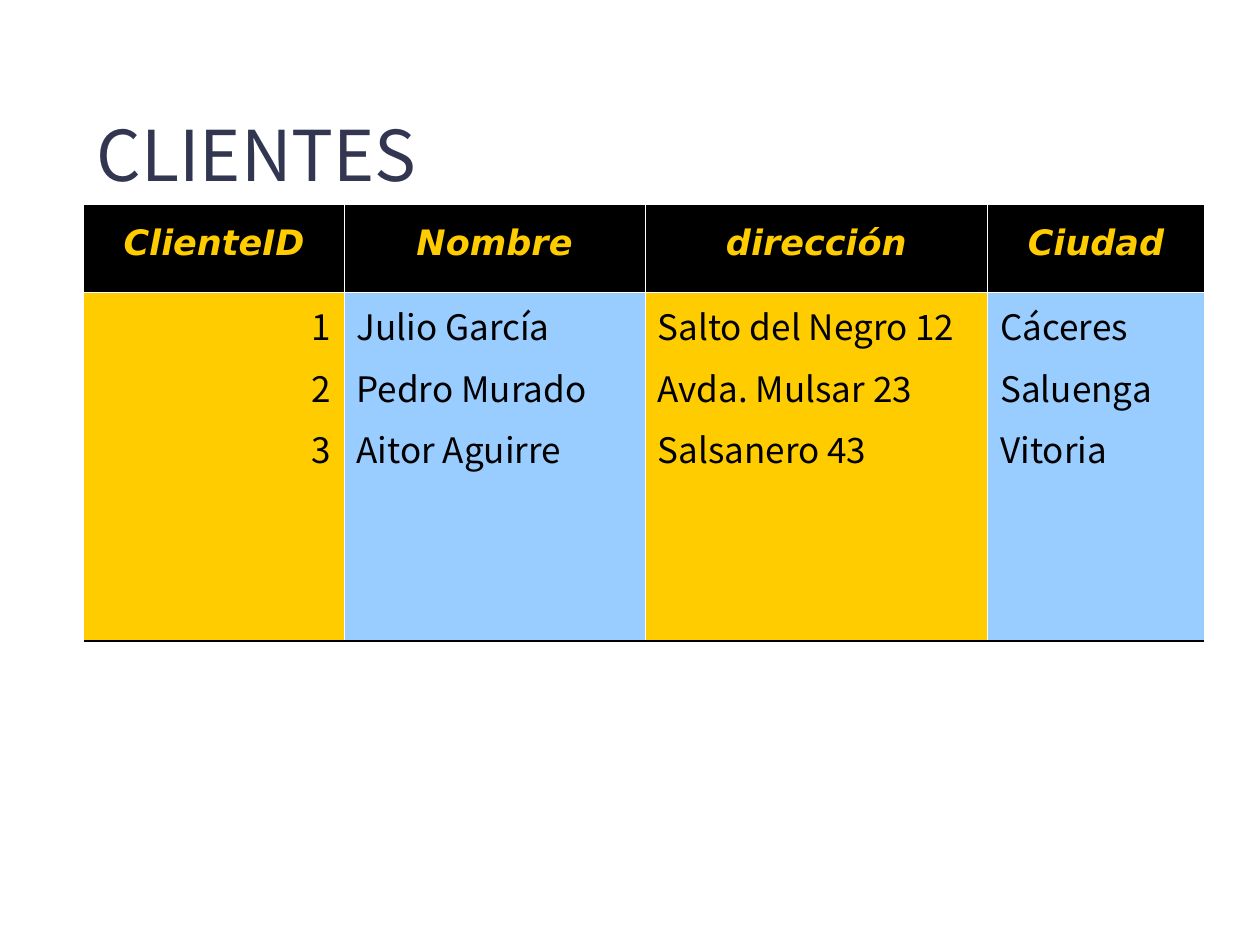
"""Build the CLIENTES slide: a title above a table of clients."""
from lxml.etree import SubElement
from pptx import Presentation
from pptx.dml.color import RGBColor
from pptx.enum.text import MSO_ANCHOR, PP_ALIGN as AL
from pptx.oxml.ns import qn
from pptx.util import Inches, Pt

TITLE = "CLIENTES"
COLUMNS = [
    ("ClienteID", 2.06, AL.RIGHT, "gold", ["1", "2", "3"]),
    ("Nombre", 2.39, AL.LEFT, "sky", ["Julio García", "Pedro Murado", "Aitor Aguirre"]),
    ("dirección", 2.72, AL.LEFT, "gold",
     ["Salto del Negro 12", "Avda. Mulsar 23", "Salsanero 43"]),
    ("Ciudad", 1.72, AL.LEFT, "sky", ["Cáceres", "Saluenga", "Vitoria"]),
]
ROW_HEIGHTS = [0.69, 2.77]
LEFT, TABLE_TOP = 0.67, 1.63
COLORS = {"navy": "333651", "black": "000000", "white": "FFFFFF",
          "gold": "FFCC00", "sky": "99CCFF"}
BODY_FONT, HEAD_FONT = "Noto Sans CJK KR", "DejaVu Sans"


def add_run(p, text, size, font, color, strong=False):
    r = p.add_run()
    r.text = text
    r.font.size = Pt(size)
    r.font.name = font
    r.font.bold = r.font.italic = strong
    r.font.color.rgb = RGBColor.from_string(COLORS[color])


def set_borders(cell, borders):
    tc_pr = cell._tc.get_or_add_tcPr()
    for side in "LRTB":
        color, width = borders[side]
        ln = SubElement(tc_pr, qn(f"a:ln{side}"), w=str(Pt(width)))
        if color:
            fill = SubElement(ln, qn("a:solidFill"))
            SubElement(fill, qn("a:srgbClr"), val=COLORS[color])
        else:
            SubElement(ln, qn("a:noFill"))


def fill_cell(cell, lines, align, fill, font, color, strong):
    cell.fill.solid()
    cell.fill.fore_color.rgb = RGBColor.from_string(COLORS[fill])
    tf = cell.text_frame
    for i, line in enumerate(lines):
        p = tf.add_paragraph() if i else tf.paragraphs[0]
        p.alignment = align
        p.line_spacing = Pt(30)
        p.space_before = Pt(5)
        add_run(p, line, 20, font, color, strong)


def add_title(slide):
    sp = slide.shapes.add_textbox(Inches(LEFT), Inches(0.8), Inches(8.5), Inches(0.83))
    tf = sp.text_frame
    tf.word_wrap = True
    tf.vertical_anchor = MSO_ANCHOR.MIDDLE
    add_run(tf.paragraphs[0], TITLE, 40, BODY_FONT, "navy")


def add_clients(slide):
    width = sum(col[1] for col in COLUMNS)
    table = slide.shapes.add_table(
        len(ROW_HEIGHTS), len(COLUMNS), Inches(LEFT), Inches(TABLE_TOP),
        Inches(width), Inches(sum(ROW_HEIGHTS))).table
    for row, height in zip(table.rows, ROW_HEIGHTS):
        row.height = Inches(height)
    thin, none = ("white", 0.45), (None, 0)
    for c, (head, col_width, align, fill, values) in enumerate(COLUMNS):
        table.columns[c].width = Inches(col_width)
        sides = {"L": thin if c else none,
                 "R": thin if c < len(COLUMNS) - 1 else none}
        top, body = table.cell(0, c), table.cell(1, c)
        set_borders(top, {**sides, "T": ("black", 0.45), "B": thin})
        set_borders(body, {**sides, "T": thin, "B": ("black", 1.08)})
        fill_cell(top, [head], AL.CENTER, "black", HEAD_FONT, "gold", True)
        fill_cell(body, values, align, fill, BODY_FONT, "black", False)


def main():
    prs = Presentation()
    prs.slide_width, prs.slide_height = Inches(10), Inches(7.5)
    slide = prs.slides.add_slide(prs.slide_layouts[6])
    add_title(slide)
    add_clients(slide)
    prs.save("out.pptx")


if __name__ == "__main__":
    main()
